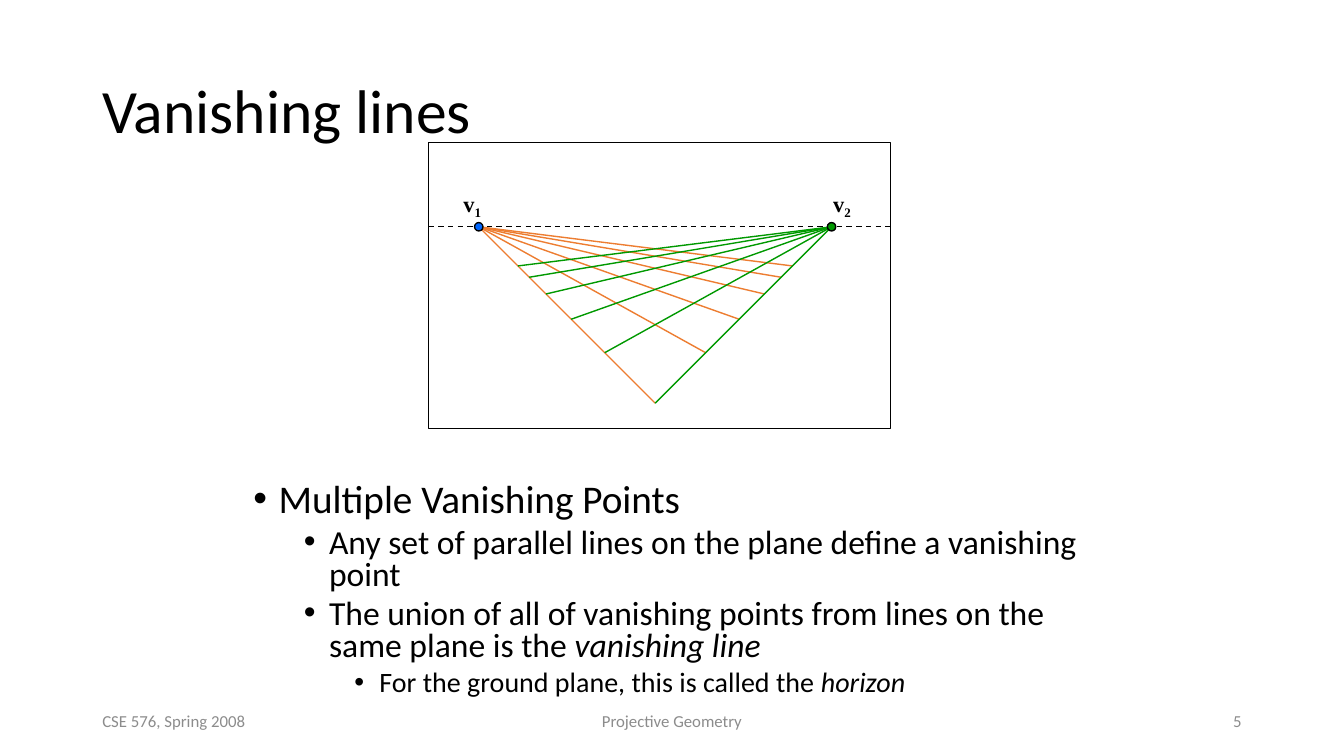
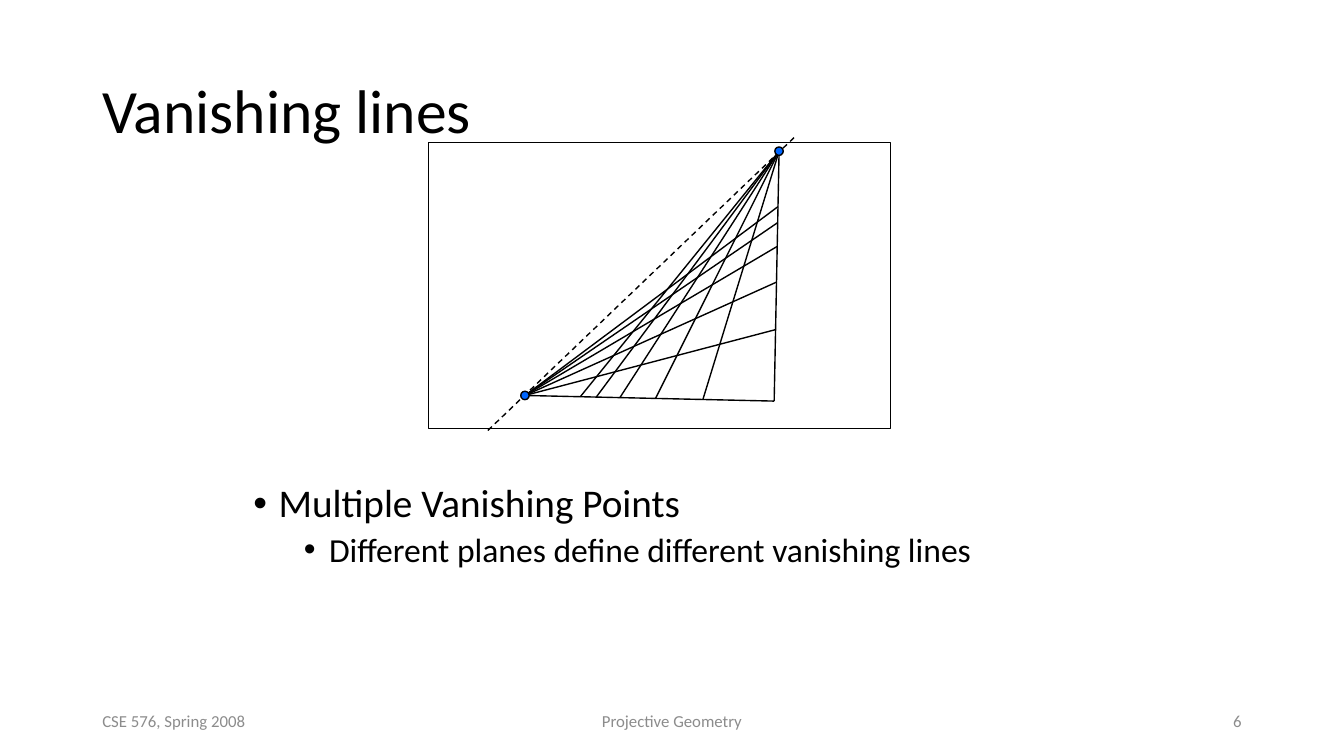
from lxml.etree import SubElement
from pptx import Presentation
from pptx.dml.color import RGBColor
from pptx.enum.dml import MSO_LINE
from pptx.enum.shapes import MSO_CONNECTOR, MSO_SHAPE
from pptx.enum.text import MSO_ANCHOR, PP_ALIGN
from pptx.oxml.ns import qn
from pptx.util import Pt

BLACK = RGBColor(0x00, 0x00, 0x00)
GRAY = RGBColor(0x8C, 0x8C, 0x8C)
ORANGE = RGBColor(0xED, 0x7D, 0x31)
GREEN = RGBColor(0x00, 0x99, 0x00)
BLUE = RGBColor(0x00, 0x66, 0xFF)

SANS, SERIF = "Calibri", "Times New Roman"
LEVEL_SIZES = (28, 24, 20)
DOT = 6
# Where the rays meet the far edge, from the near corner to the vanishing point
RAY_STOPS = (0.286, 0.476, 0.619, 0.714, 0.778)


class Deck:
    def __init__(self):
        self.prs = Presentation()
        self.prs.slide_width, self.prs.slide_height = Pt(960), Pt(540)
        self.slide = None

    def new_slide(self, title, number):
        self.slide = self.prs.slides.add_slide(self.prs.slide_layouts[6])
        for left, width, words, align in (
            (66, 216, "CSE 576, Spring 2008", PP_ALIGN.LEFT),
            (318, 324, "Projective Geometry", PP_ALIGN.CENTER),
            (678, 216, str(number), PP_ALIGN.RIGHT),
        ):
            self.label(left, 500.5, width, 28.75, words, 12, GRAY, align)
        heading = self.label(66, 28.75, 828, 104.4, title, 44)
        heading.line_spacing = 0.9

    def text_frame(self, left, top, width, height, anchor=MSO_ANCHOR.TOP):
        box = self.slide.shapes.add_textbox(Pt(left), Pt(top), Pt(width), Pt(height))
        frame = box.text_frame
        frame.word_wrap = True
        frame.vertical_anchor = anchor
        return frame

    def style(self, run, size, color=BLACK, face=SANS):
        run.font.name, run.font.size = face, Pt(size)
        run.font.color.rgb = color

    def label(self, left, top, width, height, words, size,
              color=BLACK, align=PP_ALIGN.LEFT):
        frame = self.text_frame(left, top, width, height, MSO_ANCHOR.MIDDLE)
        frame.text = words
        paragraph = frame.paragraphs[0]
        paragraph.alignment = align
        self.style(paragraph.runs[0], size, color)
        return paragraph

    def bullets(self, items, line_spacing):
        """Each item is (level, plain words, closing words in italics)."""
        frame = self.text_frame(174, 342, 618, 168)
        for index, (level, plain, italic) in enumerate(items):
            paragraph = frame.add_paragraph() if index else frame.paragraphs[0]
            paragraph.level = level
            paragraph.line_spacing = line_spacing
            paragraph.space_before = Pt(5 if index else 0)
            props = paragraph._p.get_or_add_pPr()
            props.set("marL", str(Pt(18 + 36 * level)))
            props.set("indent", str(Pt(-18)))
            SubElement(props, qn("a:buFont")).set("typeface", "Arial")
            SubElement(props, qn("a:buChar")).set("char", "•")
            paragraph.text = plain
            if italic:
                closing = paragraph.add_run()
                closing.text = italic
                closing.font.italic = True
            for run in paragraph.runs:
                self.style(run, LEVEL_SIZES[level])

    def point_name(self, left, top, subscript):
        paragraph = self.text_frame(left, top, 30, 26.5).paragraphs[0]
        paragraph.text = "v"
        index = paragraph.add_run()
        index.text = subscript
        for run in paragraph.runs:
            self.style(run, 16, face=SERIF)
            run.font.bold = True
        index.font._element.set("baseline", "-25000")

    def outline(self, kind, left, top, width, height, weight, fill=None):
        shape = self.slide.shapes.add_shape(
            kind, Pt(left), Pt(top), Pt(width), Pt(height))
        shape.shadow.inherit = False
        shape.line.color.rgb, shape.line.width = BLACK, Pt(weight)
        if fill is None:
            shape.fill.background()
        else:
            shape.fill.solid()
            shape.fill.fore_color.rgb = fill

    def image_frame(self):
        self.outline(MSO_SHAPE.RECTANGLE, 306, 102, 330, 204, 0.75)

    def dot(self, center, fill):
        x, y = center
        self.outline(MSO_SHAPE.OVAL, x - DOT / 2, y - DOT / 2, DOT, DOT, 1, fill)

    def line(self, start, end, color=BLACK, dashed=False):
        connector = self.slide.shapes.add_connector(
            MSO_CONNECTOR.STRAIGHT, *(Pt(v) for v in (*start, *end)))
        connector.line.color.rgb, connector.line.width = color, Pt(1)
        if dashed:
            connector.line.dash_style = MSO_LINE.DASH
        SubElement(connector._element.spPr, qn("a:effectLst"))

    def rays(self, source, corner, other, color):
        """Lines from one vanishing point to the edge running from corner to other."""
        for stop in (0, *RAY_STOPS):
            end = [c + (o - c) * stop for c, o in zip(corner, other)]
            self.line(source, end, color)

    def plane(self, first, second, corner, colors, dots):
        self.rays(first, corner, second, colors[0])
        self.rays(second, corner, first, colors[1])
        self.dot(second, dots[1])
        self.dot(first, dots[0])


def main():
    deck = Deck()

    deck.new_slide("Vanishing lines", 5)
    deck.bullets((
        (0, "Multiple Vanishing Points", ""),
        (1, "Any set of parallel lines on the plane define a vanishing point", ""),
        (1, "The union of all of vanishing points from lines on the same plane is the ",
         "vanishing line"),
        (2, "For the ground plane, this is called the ", "horizon"),
    ), 0.8)
    deck.image_frame()
    deck.line((306, 162), (636, 162), dashed=True)
    deck.plane((342, 162), (594, 162), (468, 288), (ORANGE, GREEN), (BLUE, GREEN))
    deck.point_name(324, 132, "1")
    deck.point_name(588, 132, "2")

    deck.new_slide("Vanishing lines", 6)
    deck.bullets((
        (0, "Multiple Vanishing Points", ""),
        (1, "Different planes define different vanishing lines", ""),
    ), 0.9)
    deck.image_frame()
    deck.line((348.5, 307.5), (567.5, 98), dashed=True)
    deck.plane((375, 282.5), (556.5, 108), (553, 286.5), (BLACK, BLACK), (BLUE, BLUE))

    deck.prs.save("out.pptx")


if __name__ == "__main__":
    main()
